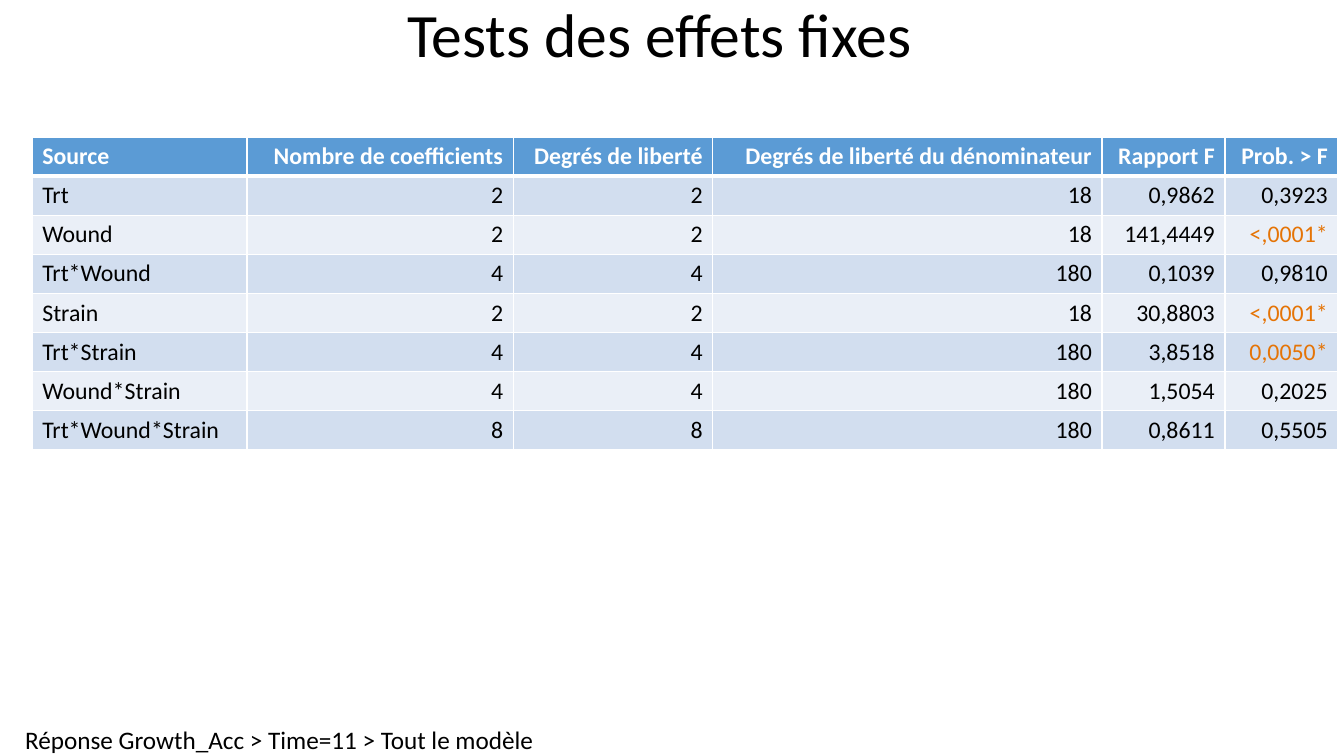
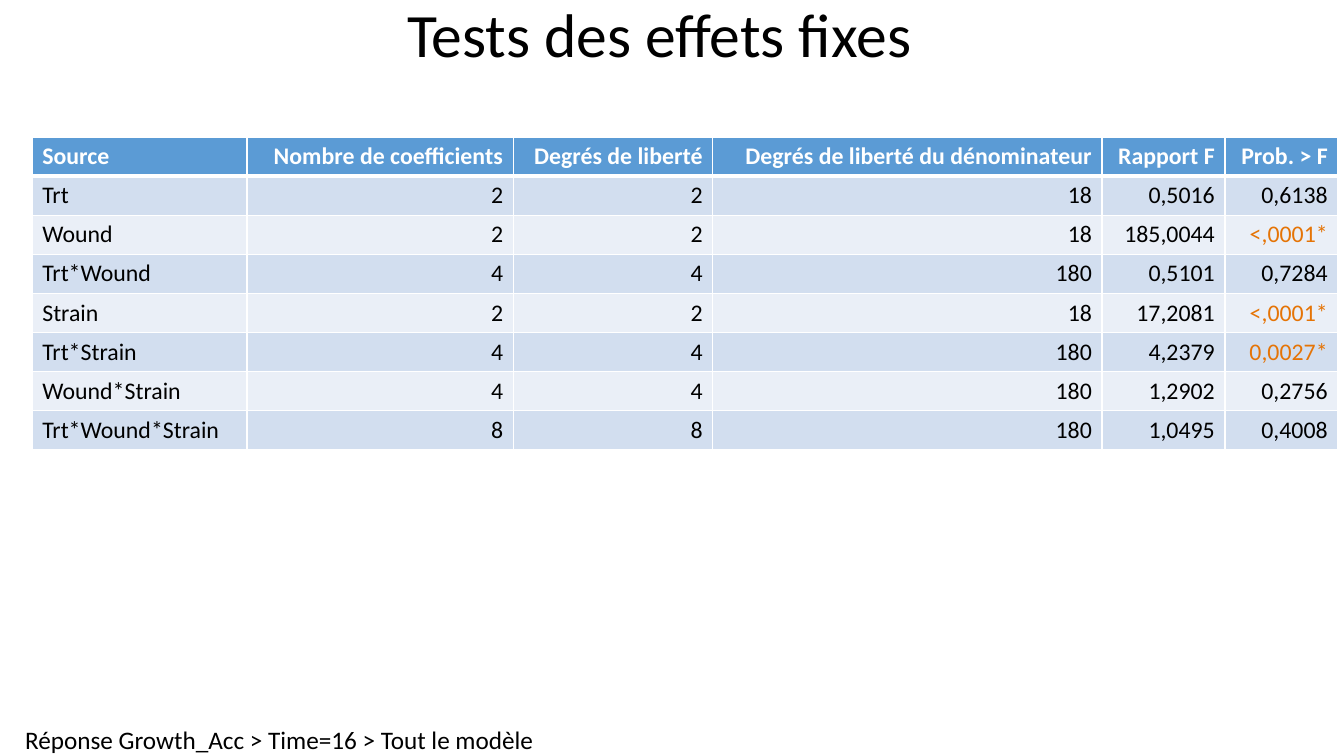
from dataclasses import dataclass

from lxml import etree
from pptx import Presentation
from pptx.dml.color import RGBColor
from pptx.enum import text
from pptx.oxml import ns
from pptx.util import Inches, Pt

# Content
TITLE = "Tests des effets fixes"
FOOTER = "Réponse Growth_Acc > Time={} > Tout le modèle"
HEADERS = ("Source", "Nombre de coefficients", "Degrés de liberté",
           "Degrés de liberté du dénominateur", "Rapport F", "Prob. > F")
# Source, coefficients (equal to degrees of freedom), denominator
EFFECTS = (
    ("Trt", "2", "18"),
    ("Wound", "2", "18"),
    ("Trt*Wound", "4", "180"),
    ("Strain", "2", "18"),
    ("Trt*Strain", "4", "180"),
    ("Wound*Strain", "4", "180"),
    ("Trt*Wound*Strain", "8", "180"),
)
# F ratio and probability of each effect, by time
RESULTS = {
    11: (("0,9862", "0,3923"), ("141,4449", "<,0001*"), ("0,1039", "0,9810"),
         ("30,8803", "<,0001*"), ("3,8518", "0,0050*"), ("1,5054", "0,2025"),
         ("0,8611", "0,5505")),
    16: (("0,5016", "0,6138"), ("185,0044", "<,0001*"), ("0,5101", "0,7284"),
         ("17,2081", "<,0001*"), ("4,2379", "0,0027*"), ("1,2902", "0,2756"),
         ("1,0495", "0,4008")),
}
COLUMN_WIDTHS = (2.13, 2.64, 1.98, 3.86, 1.22, 1.12)


@dataclass(frozen=True)
class Theme:
    font: str = "Calibri"
    ink: str = "000000"
    white: str = "FFFFFF"
    header: str = "5B9BD5"
    bands: tuple = ("D2DEEF", "EAEFF7")
    significant: str = "E57406"
    title_size: int = 44
    footer_size: int = 18
    table_size: int = 17
    thin: int = 1
    thick: int = 3


THEME = Theme()


def add_run(paragraph, words, size, color=THEME.ink, bold=False):
    run = paragraph.add_run()
    run.text = words
    run.font.name = THEME.font
    run.font.size = Pt(size)
    run.font.bold = bold
    run.font.color.rgb = RGBColor.from_string(color)


def add_title(slide):
    frame = slide.shapes.add_textbox(0, 0, Inches(13.08), Inches(0.75)).text_frame
    frame.word_wrap = True
    frame.vertical_anchor = text.MSO_ANCHOR.MIDDLE
    paragraph = frame.paragraphs[0]
    paragraph.alignment = text.PP_ALIGN.CENTER
    paragraph.line_spacing = 0.9
    add_run(paragraph, TITLE, THEME.title_size)


def add_footer(slide, time):
    frame = slide.shapes.add_textbox(
        Inches(0.25), Inches(7.19), Inches(5.07), Inches(0.31)).text_frame
    frame.word_wrap = False
    frame.margin_left = frame.margin_right = 0
    frame.margin_top = frame.margin_bottom = 0
    add_run(frame.paragraphs[0], FOOTER.format(time), THEME.footer_size)


def set_borders(cell, top, bottom):
    properties = cell._tc.get_or_add_tcPr()
    widths = {"a:lnL": THEME.thin, "a:lnR": THEME.thin, "a:lnT": top, "a:lnB": bottom}
    for tag, width in widths.items():
        line = etree.SubElement(properties, ns.qn(tag), w=str(Pt(width)))
        fill = etree.SubElement(line, ns.qn("a:solidFill"))
        etree.SubElement(fill, ns.qn("a:srgbClr"), val=THEME.white)


def fill_cell(cell, words, row, column):
    is_header = row == 0
    # The rule under the header is thick on both sides of the edge
    set_borders(cell, THEME.thick if row == 1 else THEME.thin,
                THEME.thick if is_header else THEME.thin)
    cell.fill.solid()
    background = THEME.header if is_header else THEME.bands[(row - 1) % 2]
    cell.fill.fore_color.rgb = RGBColor.from_string(background)

    color = THEME.ink
    if is_header:
        color = THEME.white
    elif words.endswith("*"):
        color = THEME.significant
    paragraph = cell.text_frame.paragraphs[0]
    paragraph.alignment = text.PP_ALIGN.RIGHT if column else text.PP_ALIGN.LEFT
    add_run(paragraph, words, THEME.table_size, color, is_header)


def add_effects_table(slide, results):
    rows = [HEADERS] + [
        (source, count, count, denominator, ratio, probability)
        for (source, count, denominator), (ratio, probability) in zip(EFFECTS, results)]
    table = slide.shapes.add_table(
        len(rows), len(HEADERS), Inches(0.32), Inches(1.36),
        Inches(sum(COLUMN_WIDTHS)), Inches(3.1)).table
    table.horz_banding = False
    for column, width in zip(table.columns, COLUMN_WIDTHS):
        column.width = Inches(width)
    for row, values in enumerate(rows):
        for column, words in enumerate(values):
            fill_cell(table.cell(row, column), words, row, column)


def main():
    presentation = Presentation()
    presentation.slide_width = Inches(13.33)
    presentation.slide_height = Inches(7.5)
    blank = presentation.slide_layouts[6]
    for time, results in RESULTS.items():
        slide = presentation.slides.add_slide(blank)
        add_footer(slide, time)
        add_title(slide)
        add_effects_table(slide, results)
    presentation.save("out.pptx")


if __name__ == "__main__":
    main()
